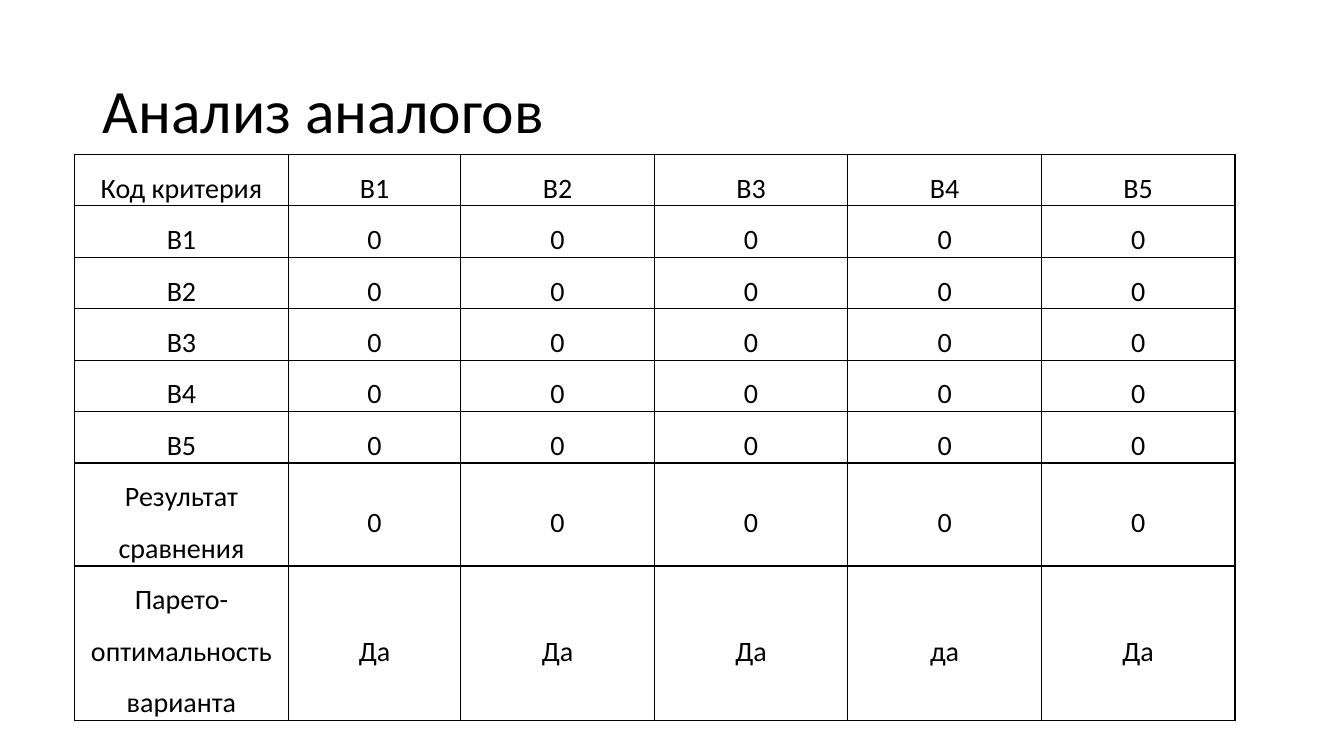
import pptx
import pptx.util
import pptx.dml.color
import pptx.enum.text
import pptx.oxml
import pptx.oxml.ns
from pptx.util import Inches

# Content
TITLE = "Анализ аналогов"
VARIANTS = ["В1", "В2", "В3", "В4", "В5"]
ZEROS = ["0"] * len(VARIANTS)
ROWS = [
    ["Код критерия", *VARIANTS],
    *[[variant, *ZEROS] for variant in VARIANTS],
    ["Результат сравнения", *ZEROS],
    ["Парето-оптимальность варианта", "Да", "Да", "Да", "да", "Да"],
]
LINES_PER_ROW = [1] * 6 + [2, 3]
COLUMN_WIDTHS = [2.12, 1.71] + [1.92] * 4
LINE_HEIGHT = 0.51
FONT = "Calibri"
BLACK = "000000"


def color(value):
    return pptx.dml.color.RGBColor.from_string(value)


def format_text(frame, size, spacing, alignment):
    frame.word_wrap = True
    frame.vertical_anchor = pptx.enum.text.MSO_ANCHOR.MIDDLE
    for para in frame.paragraphs:
        para.alignment = alignment
        para.line_spacing = spacing
        for span in para.runs:
            span.font.name = FONT
            span.font.size = pptx.util.Pt(size)
            span.font.bold = False
            span.font.color.rgb = color(BLACK)


def add_borders(cell):
    properties = cell._tc.get_or_add_tcPr()
    for position, side in enumerate(("lnL", "lnR", "lnT", "lnB")):
        border = pptx.oxml.parse_xml(
            f'<a:{side} {pptx.oxml.ns.nsdecls("a")} w="{pptx.util.Pt(1)}">'
            f'<a:solidFill><a:srgbClr val="{BLACK}"/></a:solidFill></a:{side}>'
        )
        properties.insert(position, border)


deck = pptx.Presentation()
deck.slide_width, deck.slide_height = Inches(13.33), Inches(7.5)
page = deck.slides.add_slide(deck.slide_layouts[5])

# Title
title = page.shapes.title
title.left, title.top = Inches(0.92), Inches(0.4)
title.width, title.height = Inches(11.5), Inches(1.45)
title.text_frame.text = TITLE
format_text(title.text_frame, 44, 0.9, pptx.enum.text.PP_ALIGN.LEFT)

# Comparison table
table = page.shapes.add_table(
    len(ROWS), len(COLUMN_WIDTHS), Inches(0.74), Inches(1.53),
    Inches(sum(COLUMN_WIDTHS)), Inches(LINE_HEIGHT * sum(LINES_PER_ROW)),
).table
table.first_row = False
table.horz_banding = False
for column, width in zip(table.columns, COLUMN_WIDTHS):
    column.width = Inches(width)

for row, lines, values in zip(table.rows, LINES_PER_ROW, ROWS):
    row.height = Inches(LINE_HEIGHT * lines)
    for cell, value in zip(row.cells, values):
        cell.text_frame.text = value
        format_text(cell.text_frame, 20, 1.5, pptx.enum.text.PP_ALIGN.CENTER)
        cell.vertical_anchor = pptx.enum.text.MSO_ANCHOR.MIDDLE
        cell.margin_left = cell.margin_right = Inches(0.07)
        cell.margin_top = cell.margin_bottom = 0
        cell.fill.background()
        add_borders(cell)

deck.save("out.pptx")
